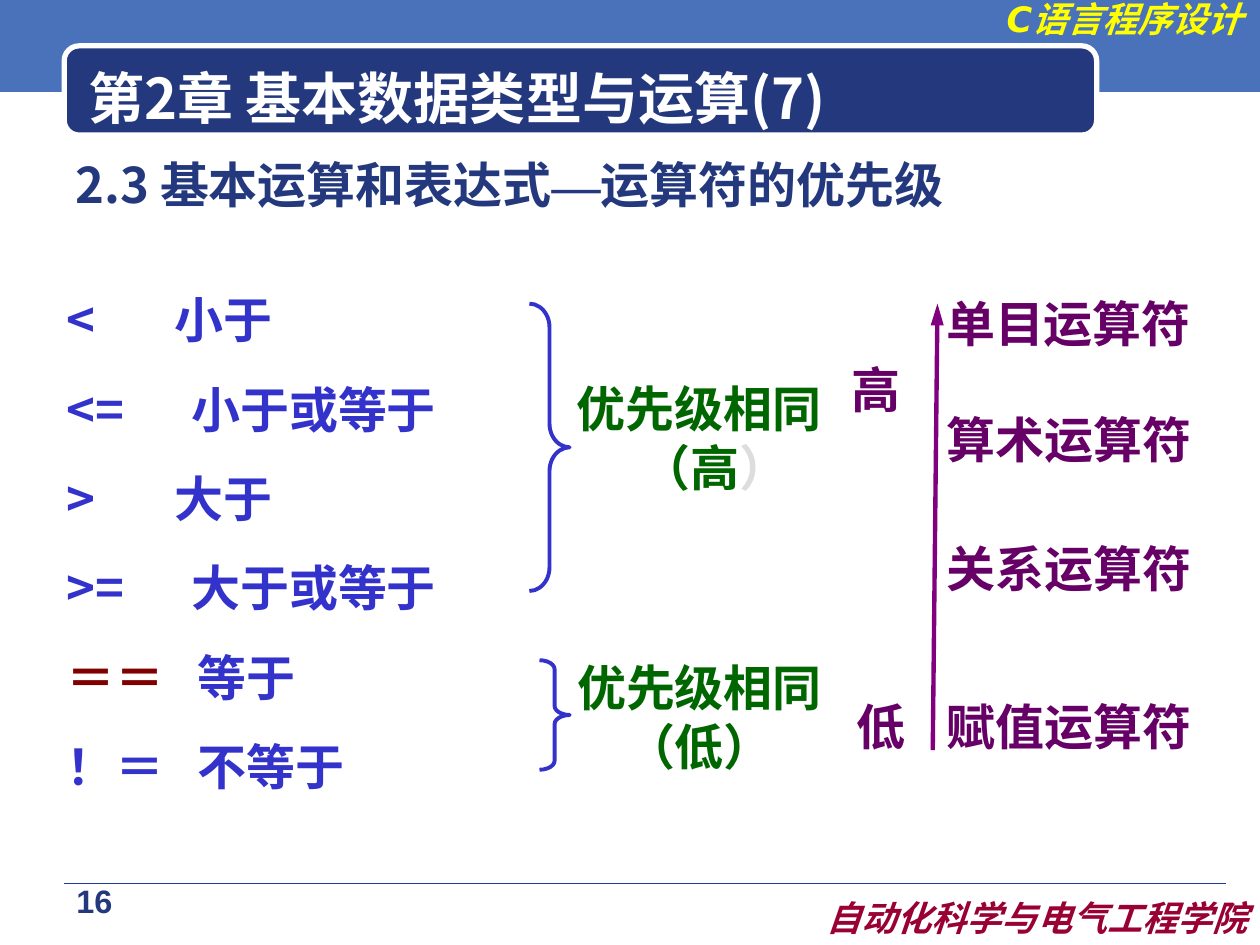
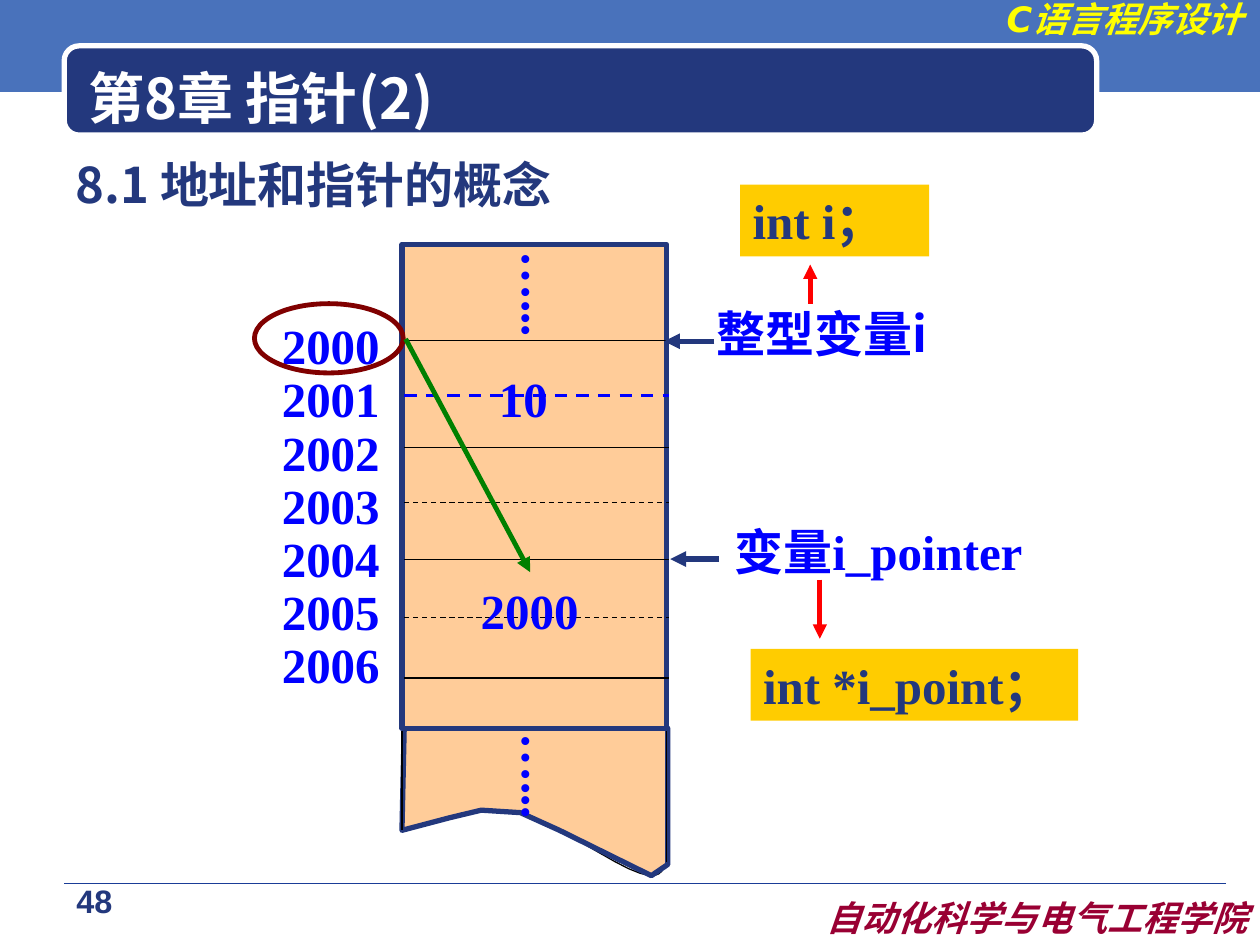
import pptx
import pptx.util
import pptx.dml.color
import pptx.enum.dml
import pptx.enum.shapes
import pptx.enum.text
import pptx.oxml
import pptx.oxml.ns
import lxml.etree

Pt = pptx.util.Pt
qn = pptx.oxml.ns.qn
color = pptx.dml.color.RGBColor.from_string
Shape = pptx.enum.shapes.MSO_SHAPE
STRAIGHT = pptx.enum.shapes.MSO_CONNECTOR.STRAIGHT
Align = pptx.enum.text.PP_ALIGN
Anchor = pptx.enum.text.MSO_ANCHOR

NAVY, BAND, WHITE, BLACK = "23387D", "4972BB", "FFFFFF", "000000"
INDIGO, GREEN, PURPLE, BLUE = "3333CC", "006600", "660066", "0000FF"
PEACH, GOLD, RED, MAROON = "FFCC99", "FFCC00", "FF0000", "800000"
HAN, SERIF, SANS, WIDE = "Noto Sans CJK SC", "Times New Roman", "Arial", "DejaVu Sans"


def style(shape, fill=None, line=None, width=1, dash=False, arrow=None):
    """Set fill, outline, dash and arrowhead length of a shape or connector."""
    if hasattr(shape, "fill"):
        shape.shadow.inherit = False
        if fill:
            shape.fill.solid()
            shape.fill.fore_color.rgb = color(fill)
        else:
            shape.fill.background()
    if line is None:
        shape.line.fill.background()
        return
    shape.line.color.rgb = color(line)
    shape.line.width = Pt(width)
    if dash:
        shape.line.dash_style = pptx.enum.dml.MSO_LINE.DASH
    if arrow:
        outline = shape.line._get_or_add_ln()
        lxml.etree.SubElement(outline, qn("a:tailEnd"), type="triangle", len=arrow)
    if not hasattr(shape, "fill"):
        lxml.etree.SubElement(shape._element.spPr, qn("a:effectLst"))


def write(page, area, lines, hue, font=SERIF, size=28, align=Align.LEFT, anchor=Anchor.TOP,
          before=0, spacing=1.2, italic=False):
    """Add a text box; a line is a string or a list of (text, colour, font) spans."""
    box = page.shapes.add_textbox(*map(Pt, area))
    frame = box.text_frame
    frame.word_wrap = True
    frame.vertical_anchor = anchor
    for number, line in enumerate(lines):
        paragraph = frame.add_paragraph() if number else frame.paragraphs[0]
        paragraph.alignment = align
        paragraph.line_spacing = Pt(round(size * spacing, 1))
        if number and before:
            paragraph.space_before = Pt(before)
        spans = [(line, hue, font)] if isinstance(line, str) else line
        for text, span_hue, span_font in spans:
            span = paragraph.add_run()
            span.text = text
            span.font.name = span_font
            span.font.size = Pt(size)
            span.font.bold = True
            span.font.italic = italic
            span.font.color.rgb = color(span_hue)
            east = SERIF if span_font == SANS else HAN
            lxml.etree.SubElement(span.font._element, qn("a:ea"), typeface=east)
    return box


deck = pptx.Presentation()
deck.slide_width, deck.slide_height = Pt(720), Pt(540)

# Shared frame, title and section heading
headings = [
    ("16", "第2章 基本数据类型与运算(7)",
     [("2.3 基本运算和表达式", NAVY, HAN), ("—", NAVY, SANS), ("运算符的优先级", NAVY, HAN)]),
    ("48", "第8章 指针(2)", "8.1 地址和指针的概念"),
]
for number, title, section in headings:
    page = deck.slides.add_slide(deck.slide_layouts[6])
    band = page.shapes.add_shape(Shape.RECTANGLE, Pt(0), Pt(-2), Pt(720), Pt(54.5))
    style(band, BAND)
    rule = page.shapes.add_connector(STRAIGHT, Pt(36.7), Pt(504.7), Pt(700.5), Pt(504.7))
    style(rule, line="1A3D97", width=0.25)
    plate = page.shapes.add_shape(Shape.ROUNDED_RECTANGLE, Pt(36.7), Pt(26.2), Pt(590), Pt(51))
    plate.adjustments[0] = 0.167
    style(plate, NAVY, WHITE, 3)
    write(page, (535.7, -5, 181.5, 31.5), ["C语言程序设计"], "FFFF00", WIDE, 20,
          Align.RIGHT, italic=True)
    write(page, (429, 509, 291, 31.5), ["自动化科学与电气工程学院"], "990033", WIDE, 20,
          Align.RIGHT, italic=True)
    write(page, (14.4, 502.2, 79, 31), [number], NAVY, SANS, 18.5, Align.CENTER, spacing=1.08)
    write(page, (43.2, 33.1, 564, 44.6), [title], WHITE, HAN, 32, anchor=Anchor.MIDDLE)
    write(page, (36, 85, 648, 48), [section], NAVY, HAN)

precedence, pointers = deck.slides

# Relational operators, each with its own tab stop
operators = [
    ("<", "小于", 61.5), ("<=", "小于或等于", 71.2), (">", "大于", 61.5),
    (">=", "大于或等于", 71.2), ("＝＝", "等于", 75), ("！＝", "不等于", 75),
]
lines = [[(sign, MAROON if sign == "＝＝" else INDIGO, HAN), ("\t" + meaning, INDIGO, HAN)]
         for sign, meaning, stop in operators]
box = write(precedence, (31, 162, 304, 297), lines, INDIGO, HAN, before=17.5)
for paragraph, (sign, meaning, stop) in zip(box.text_frame.paragraphs, operators):
    tabs = lxml.etree.SubElement(paragraph._p.get_or_add_pPr(), qn("a:tabLst"))
    lxml.etree.SubElement(tabs, qn("a:tab"), pos=str(Pt(stop)), algn="l")

# Braces and their labels
for left, top, width, height, curve in [(302.5, 173.5, 23, 164.2, 0.59),
                                        (308.3, 377.3, 17.3, 62.6, 0.3)]:
    brace = precedence.shapes.add_shape(Shape.RIGHT_BRACE, Pt(left), Pt(top), Pt(width), Pt(height))
    brace.adjustments[0] = curve
    style(brace, line=INDIGO, width=2.25)
high = [("（高", GREEN, HAN), ("）", "DDDDDD", HAN)]
box = write(precedence, (320.4, 213, 158.4, 75), ["优先级相同", high], GREEN, HAN,
            align=Align.CENTER)
box.text_frame.paragraphs[1]._p.get_or_add_pPr().set("marL", str(Pt(18)))
write(precedence, (309, 372.2, 181.4, 75), ["优先级相同", "（低）"], GREEN, align=Align.CENTER)

# Precedence scale
arrow = precedence.shapes.add_connector(STRAIGHT, Pt(533), Pt(428.6), Pt(535.7), Pt(173.5))
style(arrow, line="800080", width=2.5, arrow="lg")
for left, top, width, text in [
    (482.4, 394.6, 51, "低"), (479.5, 202, 51, "高"), (533, 394.6, 155.5, "赋值运算符"),
    (533, 304, 155.5, "关系运算符"), (533, 230.4, 155.5, "算术运算符"), (532.8, 164, 155.5, "单目运算符"),
]:
    write(precedence, (left, top, width, 41), [text], PURPLE,
          align=Align.LEFT if width < 100 else Align.CENTER)

# Torn end of the memory column: curved shadow line, then the filled outline
start = (229.7, 475.2)
curves = [
    ((249.8, 467.3), (269.3, 459.4), (292.3, 463.7)),
    ((314.6, 467.3), (350.6, 494.6), (365.8, 499)),
    ((380.9, 504), (378.7, 493.2), (380.9, 491.8)),
]
points = [start]
for curve in curves:
    corners = [points[-1], *curve]
    for step in range(1, 9):
        t = step / 8
        weights = ((1 - t) ** 3, 3 * t * (1 - t) ** 2, 3 * t * t * (1 - t), t ** 3)
        points.append(tuple(sum(w * c[axis] for w, c in zip(weights, corners)) for axis in (0, 1)))
torn_edge = [(231, 416.2), (381.6, 416.2), (381.6, 494), (372.2, 500.4), (319.7, 474.5),
             (297.4, 464.4), (275, 463), (257, 467.3), (229.7, 474.5)]
for outline, closed, fill, line, width in [(points, False, None, BLACK, 0.75),
                                           (torn_edge, True, PEACH, NAVY, 3)]:
    outline = [(Pt(x), Pt(y)) for x, y in outline]
    builder = pointers.shapes.build_freeform(*outline[0])
    builder.add_line_segments(outline[1:], close=closed)
    style(builder.convert_to_shape(), fill, line, width)

# Memory column with its cell borders
column = pointers.shapes.add_shape(Shape.RECTANGLE, Pt(229.7), Pt(139.7), Pt(151.2), Pt(276.5))
style(column, PEACH, NAVY, 3)
for y, hue, width, dash in [
    (194.4, BLACK, 0.75, False), (226.2, BLUE, 1.75, True), (255.6, BLACK, 0.75, False),
    (287.3, BLACK, 0.75, True), (319.7, BLACK, 0.75, False), (352.8, BLACK, 0.75, True),
    (387.4, BLACK, 0.75, False),
]:
    border = pointers.shapes.add_connector(STRAIGHT, Pt(231), Pt(y), Pt(382.3), Pt(y))
    style(border, line=hue, width=width, dash=dash)
for x, bottom in [(229.7, 474.5), (380.9, 492.5)]:
    side = pointers.shapes.add_connector(STRAIGHT, Pt(x), Pt(417.6), Pt(x), Pt(bottom))
    style(side, line=BLACK, width=0.75)

# Vertical dots at both ends of the column
for top in (136.3, 412):
    box = write(pointers, (286.2, top, 47.5, 56.2), ["…..."], BLUE, align=Align.CENTER,
                anchor=Anchor.MIDDLE)
    frame = box.text_frame
    frame.word_wrap = False
    frame.margin_left = frame.margin_right = Pt(3.6)
    frame.margin_top = frame.margin_bottom = Pt(7.2)
    frame._txBody.bodyPr.set("vert", "eaVert")

# Addresses and stored values
cells = [(189, 176.7 + 30.4 * row, str(2000 + row)) for row in range(7)]
cells += [(299, 207, "10"), (302.6, 327.9, "2000")]
for center, top, text in cells:
    write(pointers, (center - 45, top, 90, 41), [text], BLUE, align=Align.CENTER,
          anchor=Anchor.MIDDLE)

# Variables and their declarations
write(pointers, (402.5, 170, 145.5, 41), ["整型变量i"], BLUE, HAN)
write(pointers, (412.6, 294.5, 200, 41), ["变量i_pointer"], BLUE)
for left, top, width, text in [(423, 105.6, 108, "int i；"), (429, 370.8, 187.2, "int *i_point；")]:
    style(write(pointers, (left, top, width, 41), [text], NAVY), GOLD)

# Ring around the first address, and all arrows
ring = pointers.shapes.add_shape(Shape.OVAL, Pt(145.4), Pt(173.5), Pt(85), Pt(39.6))
style(ring, line=MAROON, width=2.75)
for x1, y1, x2, y2, hue, width in [
    (408.2, 195, 379.5, 195, NAVY, 3), (411, 319.5, 383, 319.5, NAVY, 3),
    (463, 173.5, 463, 151.2, RED, 2.75), (468.5, 331.2, 468.5, 365, RED, 2.75),
    (231.8, 193.7, 303, 327, "008000", 2.75),
]:
    arrow = pointers.shapes.add_connector(STRAIGHT, Pt(x1), Pt(y1), Pt(x2), Pt(y2))
    style(arrow, line=hue, width=width, arrow="med")

deck.save("out.pptx")
